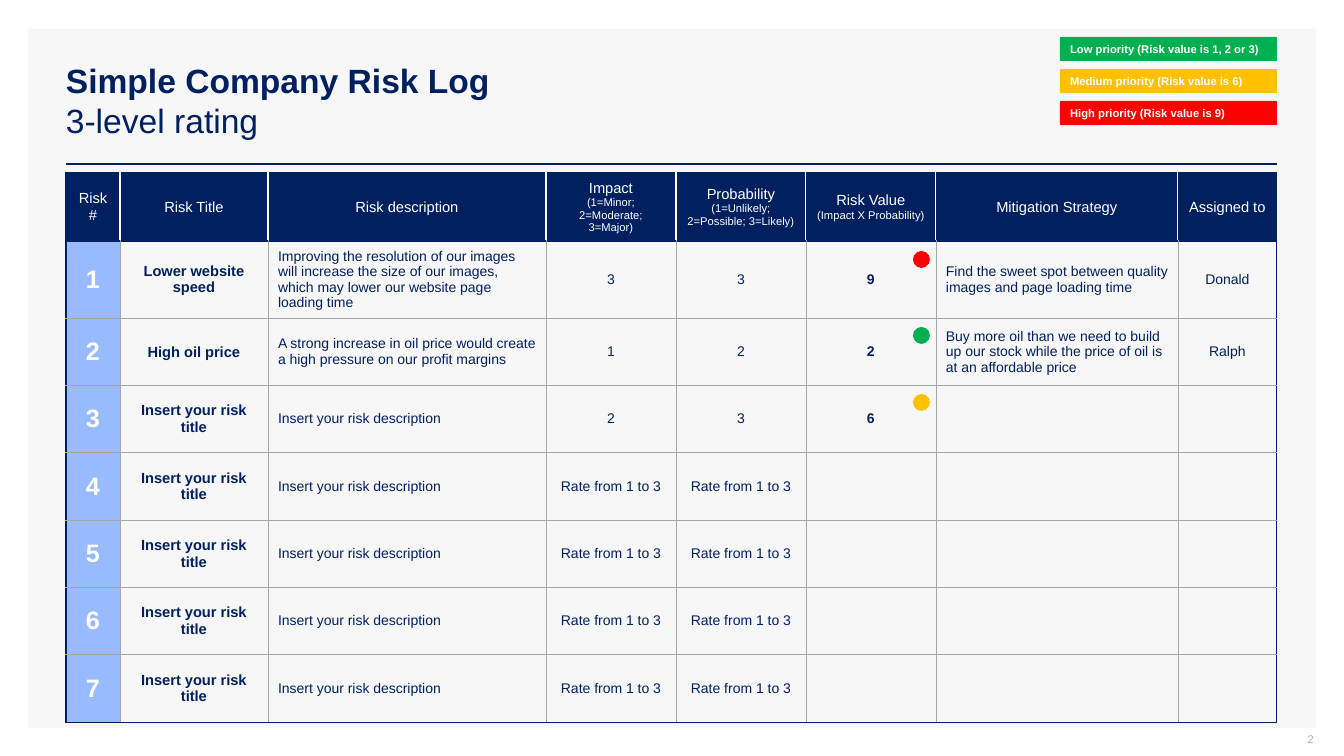
from dataclasses import dataclass

from lxml import etree
from pptx import Presentation, util as u
from pptx.dml.color import RGBColor
from pptx.enum import shapes, text
from pptx.oxml import ns

PX = 914400 / 100.8
LEFT, MID, RIGHT = text.PP_ALIGN.LEFT, text.PP_ALIGN.CENTER, text.PP_ALIGN.RIGHT


@dataclass(frozen=True)
class Theme:
    font: str = "Arial"
    navy: str = "002060"
    white: str = "FFFFFF"
    panel: str = "F7F7F7"
    blue: str = "98BAFF"
    grid: str = "A6A6A6"
    pale: str = "ADAFBB"
    green: str = "00B050"
    amber: str = "FFC000"
    red: str = "FF0000"
    title: float = 24
    index: float = 18
    head: float = 10.5
    body: float = 10
    small: float = 8


def px(n):
    return u.Emu(round(n * PX))


def rgb(code):
    return RGBColor.from_string(code)


class Page:
    def __init__(self, slide, theme):
        self.slide, self.theme = slide, theme

    def style(self, para, size, color, bold=False, align=LEFT):
        para.alignment = align
        for run in para.runs:
            font = run.font
            font.name, font.size, font.bold = self.theme.font, u.Pt(size), bold
            font.color.rgb = rgb(color)

    def shape(self, kind, box, fill):
        item = self.slide.shapes.add_shape(kind, *map(px, box))
        item.shadow.inherit = False
        item.fill.solid()
        item.fill.fore_color.rgb = rgb(fill)
        item.line.fill.background()
        return item

    def pill(self, box, words, fill):
        item = self.shape(shapes.MSO_SHAPE.ROUNDED_RECTANGLE, box, fill)
        item.adjustments[0] = 0.04
        frame = item.text_frame
        frame.text = words
        frame.word_wrap = True
        frame.vertical_anchor = text.MSO_ANCHOR.MIDDLE
        self.style(frame.paragraphs[0], self.theme.small, self.theme.white, True)

    def label(self, box, words, size, color, align=LEFT):
        frame = self.slide.shapes.add_textbox(*map(px, box)).text_frame
        frame.word_wrap = True
        frame.vertical_anchor = text.MSO_ANCHOR.MIDDLE
        frame.text = words
        self.style(frame.paragraphs[0], size, color, align=align)
        return frame

    def rule(self, x1, y1, x2, y2, color, width):
        line = self.slide.shapes.add_connector(
            shapes.MSO_CONNECTOR.STRAIGHT, *map(px, (x1, y1, x2, y2)))
        line.line.color.rgb = rgb(color)
        line.line.width = u.Pt(width)
        etree.SubElement(line.element.spPr, ns.qn("a:effectLst"))

    def edge(self, cell, side, color, width):
        props = cell._tc.get_or_add_tcPr()
        line = etree.SubElement(props, ns.qn("a:ln" + side), w=str(u.Pt(width)))
        fill = etree.SubElement(line, ns.qn("a:solidFill"))
        etree.SubElement(fill, ns.qn("a:srgbClr"), val=color)

    def frame(self, cell, row, col, last):
        """Navy outside, white between headings, grey elsewhere."""
        t = self.theme
        navy = (t.navy, 1)
        side = (t.white, 1) if row == 0 else (t.grid, 0.5)
        self.edge(cell, "L", *(navy if col == 0 else side))
        self.edge(cell, "R", *(navy if col == last[1] else side))
        self.edge(cell, "T", *(navy if row <= 1 else (t.grid, 0.5)))
        self.edge(cell, "B", *(navy if row in (0, last[0]) else (t.grid, 0.5)))

    def look(self, row, col):
        """Size, colour, weight and alignment for a table cell."""
        t = self.theme
        if row == 0:
            return t.head, t.white, False, MID
        if col == 0:
            return t.index, t.white, True, MID
        size = t.head if col == 1 else t.body
        return size, t.navy, col in (1, 5), LEFT if col in (2, 6) else MID

    def table(self, x, y, widths, heights, data):
        t = self.theme
        grid = self.slide.shapes.add_table(
            len(data), len(widths), px(x), px(y),
            px(sum(widths)), px(sum(heights))).table
        grid.first_row = grid.horz_banding = False
        for col, width in zip(grid.columns, widths):
            col.width = px(width)
        for row, height in zip(grid.rows, heights):
            row.height = px(height)
        last = len(data) - 1, len(widths) - 1
        for r, line in enumerate(data):
            for c, words in enumerate(line):
                cell = grid.cell(r, c)
                self.frame(cell, r, c, last)
                if r == 0 or c == 0:
                    cell.fill.solid()
                    cell.fill.fore_color.rgb = rgb(t.blue if r else t.navy)
                else:
                    cell.fill.background()
                cell.vertical_anchor = text.MSO_ANCHOR.MIDDLE
                cell.text_frame.text = words
                size, color, bold, align = self.look(r, c)
                for n, para in enumerate(cell.text_frame.paragraphs):
                    self.style(para, t.small if n else size, color, bold, align)


HEADS = ["Risk #", "Risk Title", "Risk description",
         "Impact\n(1=Minor; 2=Moderate; 3=Major)",
         "Probability\n(1=Unlikely; 2=Possible; 3=Likely)",
         "Risk Value\n(Impact X Probability)",
         "Mitigation Strategy", "Assigned to"]
BLANK = ["Insert your risk title", "Insert your risk description"]
RATE = ["Rate from 1 to 3"] * 2
RISKS = [
    ["Lower website speed",
     "Improving the resolution of our images will increase the size of our "
     "images, which may lower our website page loading time",
     "3", "3", "9",
     "Find the sweet spot between quality images and page loading time",
     "Donald"],
    ["High oil price",
     "A strong increase in oil price would create a high pressure on our "
     "profit margins",
     "1", "2", "2",
     "Buy more oil than we need to build up our stock while the price of oil "
     "is at an affordable price",
     "Ralph"],
    BLANK + ["2", "3", "6", "", ""],
] + [BLANK + RATE + [""] * 3] * 4


def main():
    deck = Presentation()
    deck.slide_width, deck.slide_height = px(1344), px(756)
    t = Theme()
    page = Page(deck.slides.add_slide(deck.slide_layouts[6]), t)

    page.shape(shapes.MSO_SHAPE.RECTANGLE, (28, 29, 1288, 699), t.panel)
    page.rule(66, 164, 1277, 164, t.navy, 2)
    title = page.label((56, 40, 980, 120),
                       "Simple Company Risk Log\v3-level rating", t.title, t.navy)
    title.paragraphs[0].runs[0].font.bold = True
    num = page.label((1012, 731, 302, 21), "2", t.small, t.pale, RIGHT)
    num.margin_right = num.margin_top = 0

    widths = [54, 148, 278, 130, 130, 130, 242, 99]
    heights = [68 if n % 3 == 1 else 67 for n in range(len(RISKS) + 1)]
    rows = [[str(n)] + risk for n, risk in enumerate(RISKS, 1)]
    page.table(66, 173, widths, heights, [HEADS] + rows)

    levels = [("Low priority (Risk value is 1, 2 or 3)", t.green),
              ("Medium priority (Risk value is 6)", t.amber),
              ("High priority (Risk value is 9)", t.red)]
    for n, (words, fill) in enumerate(levels):
        page.pill((1060, 37 + 32 * n, 217, 24), words, fill)
    for y, fill in ((251, t.red), (327, t.green), (394, t.amber)):
        page.shape(shapes.MSO_SHAPE.OVAL, (913, y, 17, 17), fill)

    deck.save("out.pptx")


if __name__ == "__main__":
    main()
